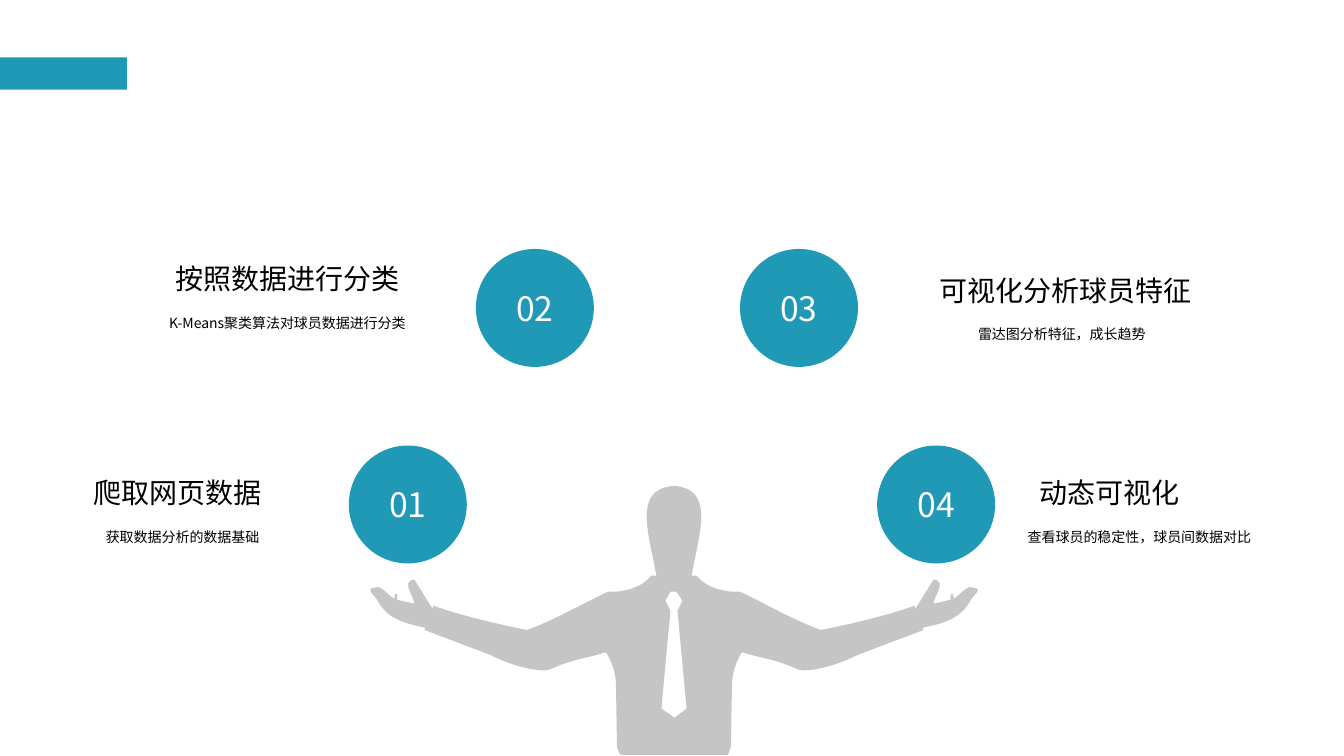
from dataclasses import dataclass

from lxml.etree import SubElement
from pptx import Presentation
from pptx.dml.color import RGBColor
from pptx.enum.shapes import MSO_SHAPE
from pptx.enum.text import MSO_ANCHOR, MSO_AUTO_SIZE, PP_ALIGN
from pptx.oxml.ns import qn
from pptx.shapes.autoshape import Shape
from pptx.slide import Slide
from pptx.util import Inches, Pt

Point = tuple[float, float]
Segment = list[Point]


@dataclass(frozen=True)
class Theme:
    accent: RGBColor = RGBColor(0x20, 0x99, 0xB7)
    figure: RGBColor = RGBColor(0xC5, 0xC5, 0xC5)
    text: RGBColor = RGBColor(0, 0, 0)
    on_accent: RGBColor = RGBColor(0xFF, 0xFF, 0xFF)
    font: str = "Noto Sans CJK SC"
    number_size: int = 24
    title_size: int = 20
    detail_size: int = 10


@dataclass(frozen=True)
class Area:
    left: float
    top: float
    width: float
    height: float


@dataclass(frozen=True)
class Step:
    number: str
    title: str
    detail: str
    circle: Point
    title_area: Area
    detail_area: Area
    title_indent: float = 0


THEME = Theme()
CIRCLE_SIZE = 1.17
TITLE_HEIGHT = 0.44
DETAIL_HEIGHT = 0.35
INSET = 0.1
UPPER_ROW, LOWER_ROW = 2.47, 4.42
LOWER_TITLE, LOWER_DETAIL = 4.67, 5.11

STEPS = [
    Step("02", "按照数据进行分类", "K-Means聚类算法对球员数据进行分类", (4.72, UPPER_ROW),
         Area(1.64, 2.55, 2.68, TITLE_HEIGHT),
         Area(1.32, 2.99, 3.06, DETAIL_HEIGHT)),
    Step("01", "爬取网页数据", "获取数据分析的数据基础", (3.46, LOWER_ROW),
         Area(0.77, LOWER_TITLE, 2.2, TITLE_HEIGHT),
         Area(0.55, LOWER_DETAIL, 2.52, DETAIL_HEIGHT), title_indent=0.06),
    Step("03", "可视化分析球员特征", "雷达图分析特征，成长趋势", (7.34, UPPER_ROW),
         Area(9.22, 2.66, 2.78, TITLE_HEIGHT),
         Area(8.94, 3.1, 3.18, DETAIL_HEIGHT)),
    Step("04", "动态可视化", "查看球员的稳定性，球员间数据对比", (8.7, LOWER_ROW),
         Area(10.03, LOWER_TITLE, 2.68, TITLE_HEIGHT),
         Area(9.77, LOWER_DETAIL, 3.06, DETAIL_HEIGHT), title_indent=0.18),
]

# The figure is symmetric, so only its right half is listed. A segment with
# one point is a line; one with three points is a Bézier curve.
FIGURE_AREA = Area(3.67, 4.82, 6.03, 2.67)
MIRROR_SUM = 13.37
HEAD_TOP: Point = (6.69, 4.82)
RIGHT_HALF: list[Segment] = [
    [(6.75, 4.83)],
    [(7.08, 4.9), (6.93, 5.31), (6.86, 5.71)],
    [(6.91, 5.71)],
    [(6.99, 5.82), (7.17, 5.88), (7.34, 5.87)],
    [(7.61, 6), (7.87, 6.15), (8.14, 6.25)],
    [(8.45, 6.19), (8.82, 6.1), (9.07, 6.01)],
    [(9.08, 6.04)],
    [(9.26, 5.75)],
    [(9.4, 5.77), (9.26, 5.91), (9.26, 5.99)],
    [(9.43, 5.95)],
    [(9.43, 5.9)],
    [(9.45, 5.89)],
    [(9.46, 5.94)],
    [(9.53, 5.9), (9.59, 5.8), (9.65, 5.83)],
    [(9.77, 5.84), (9.63, 5.92), (9.62, 5.97)],
    [(9.5, 6.17), (9.3, 6.19), (9.15, 6.23)],
    [(9.16, 6.25)],
    [(8.5, 6.5)],
    [(8.31, 6.6), (8.01, 6.68), (7.91, 6.64)],
    [(7.7, 6.54), (7.54, 6.53), (7.36, 6.47)],
    [(7.3, 6.56), (7.26, 6.68), (7.26, 6.81)],
    [(7.25, 7.41)],
    [(7.23, 7.44), (7.24, 7.51), (7.18, 7.49)],
]
TIE_TOP: Point = (6.69, 5.87)
TIE: list[Segment] = [[(6.65, 5.87)], [(6.6, 5.96)], [(6.65, 6.06)], [(6.56, 7.03)],
                      [(6.69, 7.12)], [(6.81, 7.03)], [(6.72, 6.06)], [(6.77, 5.96)],
                      [(6.71, 5.87)]]


def mirror(point: Point) -> Point:
    return MIRROR_SUM - point[0], point[1]


def complete(start: Point, half: list[Segment]) -> list[Segment]:
    """Join a half outline to its mirror image, drawn back to the start."""
    starts = [start, *(segment[-1] for segment in half)]
    returning = [[mirror(point) for point in [*reversed(segment[:-1]), origin]]
                 for origin, segment in reversed(list(zip(starts, half)))]
    return [*half, [mirror(starts[-1])], *returning]


def paint(shape: Shape, color: RGBColor) -> None:
    shape.shadow.inherit = False
    shape.fill.solid()
    shape.fill.fore_color.rgb = color
    shape.line.fill.background()


def write(shape: Shape, text: str, *, size: int, color: RGBColor = THEME.text,
          align: PP_ALIGN = PP_ALIGN.LEFT, spacing: float = 1.0) -> None:
    para = shape.text_frame.paragraphs[0]
    para.alignment = align
    para.line_spacing = spacing
    span = para.add_run()
    span.text = text
    span.font.size = Pt(size)
    span.font.color.rgb = color
    span.font.name = THEME.font
    SubElement(span.font._element, qn("a:ea"), typeface=THEME.font)


def add_preset(page: Slide, kind: MSO_SHAPE, area: Area) -> Shape:
    shape = page.shapes.add_shape(kind, Inches(area.left), Inches(area.top),
                                  Inches(area.width), Inches(area.height))
    paint(shape, THEME.accent)
    return shape


def add_text_box(page: Slide, area: Area, indent: float = 0) -> Shape:
    box = page.shapes.add_textbox(Inches(area.left), Inches(area.top),
                                  Inches(area.width), Inches(area.height))
    box.text_frame.word_wrap = True
    box.text_frame.auto_size = MSO_AUTO_SIZE.SHAPE_TO_FIT_TEXT
    box.text_frame.margin_left = Inches(INSET + indent)
    return box


def add_figure(page: Slide) -> None:
    """Size a freeform by its corners, then give it the curved outline."""
    area = FIGURE_AREA
    builder = page.shapes.build_freeform(Inches(area.left), Inches(area.top))
    builder.add_line_segments([(Inches(area.left + area.width),
                                Inches(area.top + area.height))])
    figure = builder.convert_to_shape()
    outline = next(figure._element.iter(qn("a:path")))
    for command in list(outline):
        outline.remove(command)

    def draw(tag: str, points: Segment) -> None:
        command = SubElement(outline, qn(tag))
        for x, y in points:
            SubElement(command, qn("a:pt"), x=str(Inches(x - area.left)),
                       y=str(Inches(y - area.top)))

    for start, segments in ((TIE_TOP, TIE), (HEAD_TOP, complete(HEAD_TOP, RIGHT_HALF))):
        draw("a:moveTo", [start])
        for segment in segments:
            draw("a:lnTo" if len(segment) == 1 else "a:cubicBezTo", segment)
        draw("a:close", [])
    paint(figure, THEME.figure)


def add_circle(page: Slide, step: Step) -> None:
    circle = add_preset(page, MSO_SHAPE.OVAL, Area(*step.circle, CIRCLE_SIZE, CIRCLE_SIZE))
    circle.text_frame.word_wrap = False
    circle.text_frame.vertical_anchor = MSO_ANCHOR.MIDDLE
    write(circle, step.number, size=THEME.number_size, color=THEME.on_accent,
          align=PP_ALIGN.CENTER)


def add_caption(page: Slide, step: Step) -> None:
    write(add_text_box(page, step.detail_area), step.detail, size=THEME.detail_size,
          align=PP_ALIGN.CENTER, spacing=1.5)
    write(add_text_box(page, step.title_area, step.title_indent), step.title,
          size=THEME.title_size)


def main() -> None:
    deck = Presentation()
    deck.slide_width, deck.slide_height = Inches(13.33), Inches(7.5)
    page = deck.slides.add_slide(deck.slide_layouts[6])
    add_figure(page)
    for step in STEPS:
        add_circle(page, step)
    add_preset(page, MSO_SHAPE.RECTANGLE, Area(0, 0.57, 1.26, 0.32))
    for step in sorted(STEPS, key=lambda step: step.number):
        add_caption(page, step)
    deck.save("out.pptx")


if __name__ == "__main__":
    main()
